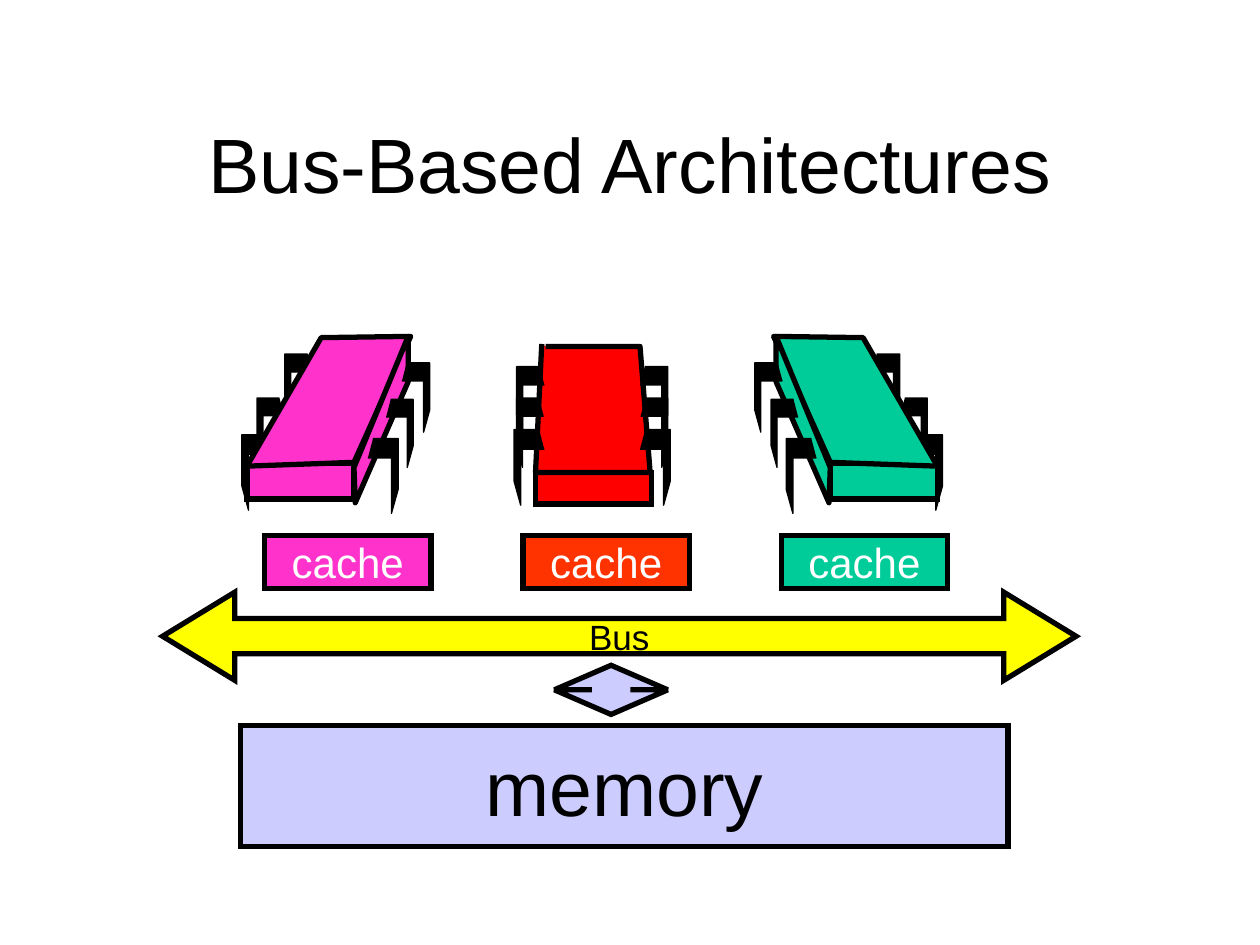
"""Build the slide on bus-based architectures from chips, caches, a bus and memory."""
import dataclasses

import pptx
import pptx.dml.color
import pptx.enum.shapes
import pptx.enum.text
import pptx.oxml
import pptx.oxml.ns
import pptx.util

SHAPE = pptx.enum.shapes.MSO_SHAPE
COLS, ROWS = 100, 75
CELL = pptx.util.Inches(0.1)
MIRROR = 94


@dataclasses.dataclass(frozen=True)
class Theme:
    font: str = "Arial"
    ink: str = "000000"
    paper: str = "FFFFFF"
    pink: str = "FF33CC"
    red: str = "FF0000"
    orange: str = "FF3300"
    green: str = "00CC99"
    yellow: str = "FFFF00"
    lilac: str = "CCCCFF"
    large: int = 44
    medium: int = 24
    small: int = 20
    bold_line: float = 3
    thin_line: float = 0.75


T = Theme()

SIDE_FACE = [(32.4, 26.7), (32.4, 30.3), (28.2, 39.9), (28.1, 37.1)]
SLANTED_TOP = [(19.6, 37), (28.1, 36.7), (32.6, 26.7), (25.5, 26.8)]
FRONT_TOP = [(43.3, 27.5), (50.8, 27.5), (51.6, 37.5), (42.5, 37.5), (43, 27.3)]
BACK_PINS = [(19.2, 34.5, 2.4, 6), (20.4, 31.6, 2.15, 5.4), (22.6, 28.1, 2.2, 5.5)]
NEAR_PINS = [(31.6, 34.8, 2.4, 5.95), (32.8, 31.7, 2.15, 5.4), (34.1, 28.8, 2.2, 5.5)]
FRONT_PINS = [(40.8, 34.1, 2.4, 6), (41, 31.6, 2.15, 5.5), (41, 29.1, 2.2, 5.6)]
PIN_OUTLINE = [(0.83, 0), (0, 0), (0, 0.68), (0.22, 1), (0.22, 0.26), (1, 0.26)]


def grid(*cells):
    return [pptx.util.Emu(round(c * CELL)) for c in cells]


def rgb(value):
    return pptx.dml.color.RGBColor.from_string(value)


def assign(obj, values):
    for name, value in values.items():
        setattr(obj, name, value)


def paint(sp, fill, width=T.bold_line, join='<a:miter %s lim="800000"/>'):
    sp.shadow.inherit = False
    sp.fill.solid()
    sp.fill.fore_color.rgb = rgb(fill)
    sp.line.color.rgb = rgb(T.ink)
    sp.line.width = pptx.util.Pt(width)
    ns = pptx.oxml.ns.nsdecls("a")
    sp.line._get_or_add_ln().append(pptx.oxml.parse_xml(join % ns))


def write(sp, text, size, color=T.ink, wrap=False):
    tf = sp.text_frame
    assign(tf, {"text": text, "word_wrap": wrap,
                "vertical_anchor": pptx.enum.text.MSO_ANCHOR.MIDDLE})
    p = tf.paragraphs[0]
    p.alignment = pptx.enum.text.PP_ALIGN.CENTER
    r = p.runs[0]
    assign(r.font, {"name": T.font, "size": pptx.util.Pt(size)})
    r.font.color.rgb = rgb(color)


def add_box(shapes, kind, box, fill, adjustments=()):
    sp = shapes.add_shape(kind, *grid(*box))
    for i, value in enumerate(adjustments):
        sp.adjustments[i] = value
    paint(sp, fill)
    return sp


def add_outline(shapes, points, fill, width=T.bold_line, close=True):
    start, *rest = [grid(*point) for point in points]
    builder = shapes.build_freeform(*start)
    builder.add_line_segments(rest, close=close)
    paint(builder.convert_to_shape(), fill, width, "<a:round %s/>")


def flip(points, axis_sum=MIRROR):
    return [(axis_sum - x, y) for x, y in points]


def add_pins(shapes, pins, direction=1, axis_sum=None):
    for x, y, w, h in pins:
        points = [(x + direction * w * u, y + h * v) for u, v in PIN_OUTLINE]
        if axis_sum:
            points = flip(points, axis_sum)
        add_outline(shapes, points, T.ink, T.thin_line, close=False)


def add_slanted_chip(slide, fill, axis_sum=None):
    shapes = slide.shapes.add_group_shape().shapes
    left, width = 19.6, 8.5
    front = axis_sum - left - width if axis_sum else left
    add_box(shapes, SHAPE.RECTANGLE, (front, 36.8, width, 2.8), fill)
    add_pins(shapes, BACK_PINS, 1, axis_sum)
    for face in (SLANTED_TOP, SIDE_FACE):
        add_outline(shapes, flip(face) if axis_sum else face, fill)
    add_pins(shapes, NEAR_PINS, -1, axis_sum)


def add_front_chip(slide, fill):
    shapes = slide.shapes.add_group_shape().shapes
    add_box(shapes, SHAPE.RECTANGLE, (42.5, 37.5, 9.2, 2.5), fill)
    add_outline(shapes, FRONT_TOP, fill, close=False)
    for axis_sum in (MIRROR, None):
        add_pins(shapes, FRONT_PINS, 1, axis_sum)


def add_title(slide, text):
    title = slide.shapes.title
    left, top, width, height = grid(7.5, 6.7, 85, 12.5)
    assign(title, {"left": left, "top": top, "width": width, "height": height})
    write(title, text, T.large, wrap=True)


def main():
    prs = pptx.Presentation()
    prs.slide_width, prs.slide_height = grid(COLS, ROWS)
    slide = prs.slides.add_slide(prs.slide_layouts[5])
    add_title(slide, "Bus-Based Architectures")

    add_front_chip(slide, T.red)
    add_slanted_chip(slide, T.pink)
    add_slanted_chip(slide, T.green, MIRROR)

    bus = add_box(slide.shapes, SHAPE.LEFT_RIGHT_ARROW, (12.9, 47, 72.5, 7),
                  T.yellow, (0.4, 0.82))
    write(bus, "Bus", T.small)
    memory = add_box(slide.shapes, SHAPE.RECTANGLE, (19.1, 57.6, 60.9, 9.6), T.lilac)
    write(memory, "memory", T.large)
    add_box(slide.shapes, SHAPE.UP_DOWN_ARROW, (44, 52.8, 9, 3.9), T.lilac, (0.5, 0.34))
    for i, fill in enumerate((T.pink, T.orange, T.green)):
        cache = add_box(slide.shapes, SHAPE.RECTANGLE,
                        (21 + 20.5 * i, 42.5, 13.2, 4.2), fill)
        write(cache, "cache", T.medium, T.paper)

    prs.save("out.pptx")


main()
